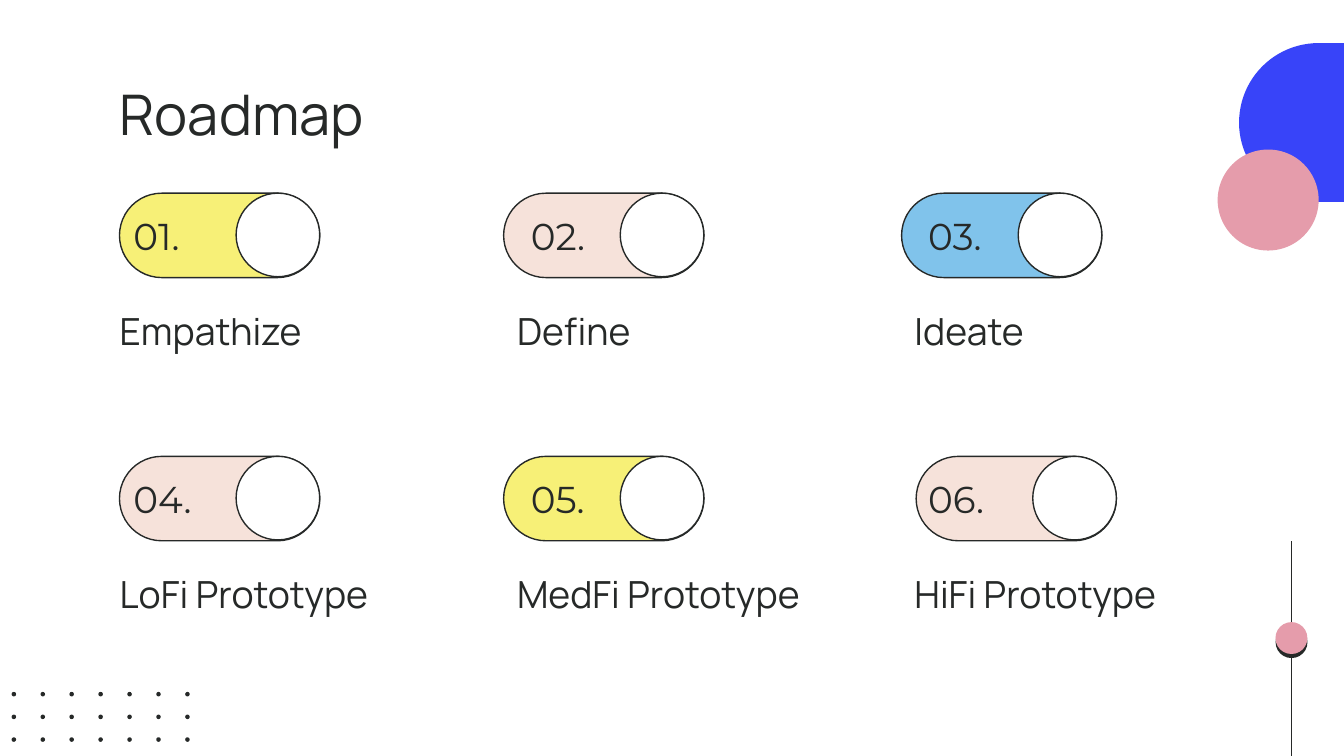
"""Build the roadmap slide with six numbered toggles."""
from lxml import etree
from pptx import Presentation
from pptx.dml.color import RGBColor
from pptx.enum import shapes, text
from pptx.oxml import ns
from pptx.util import Pt

TITLE = "Roadmap"
INK, WHITE, PINK, BLUE = "262928", "FFFFFF", "E59CAB", "3844F9"
YELLOW, BLUSH, SKY = "F7F077", "F6E2DA", "80C3EB"
STEPS = [
    ("01.", "Empathize", YELLOW, 64),
    ("02.", "Define", BLUSH, 269.8),
    ("03.", "Ideate", SKY, 483),
    ("04.", "LoFi Prototype", BLUSH, 64),
    ("05.", "MedFi Prototype", YELLOW, 269.8),
    ("06.", "HiFi Prototype", BLUSH, 490.8),
]
COLS, LEFT, TOP = 3, 57, 103.5
STEP_X, STEP_Y = 212.9, 141
PILL_W, PILL_H, KNOB = 107.3, 45.2, 44.8
DOT, DOT_X, DOT_Y, GAP_X, GAP_Y = 2.4, 6.2, 370.7, 15.5, 12.15
ROUND, OVAL = shapes.MSO_SHAPE.ROUNDED_RECTANGLE, shapes.MSO_SHAPE.OVAL


def rgb(code):
    """Turn a hex string into a colour."""
    return RGBColor.from_string(code)


def add_form(kind, x, y, w, h, fill, line=None):
    """Add a filled shape, outlined when a line colour is given."""
    form = slide.shapes.add_shape(kind, Pt(x), Pt(y), Pt(w), Pt(h))
    form.shadow.inherit = False
    form.fill.solid()
    form.fill.fore_color.rgb = rgb(fill)
    if kind == ROUND:
        form.adjustments[0] = 0.5
    if line:
        form.line.color.rgb = rgb(line)
        form.line.width = Pt(0.75)
    else:
        form.line.fill.background()
    return form


def add_text(words, x, y, w, h, size, font="Manrope", anchor=text.MSO_ANCHOR.TOP):
    """Add one line of text in a box with even insets."""
    frame = slide.shapes.add_textbox(Pt(x), Pt(y), Pt(w), Pt(h)).text_frame
    frame.word_wrap = True
    frame.vertical_anchor = anchor
    frame.margin_left = frame.margin_right = Pt(7.2)
    frame.margin_top = frame.margin_bottom = Pt(7.2)
    para = frame.paragraphs[0]
    para.text = words
    para.font.size, para.font.name = Pt(size), font
    para.font.color.rgb = rgb(INK)


def add_stem(x, start, end):
    """Add a thin vertical line."""
    stem = slide.shapes.add_connector(
        shapes.MSO_CONNECTOR.STRAIGHT, Pt(x), Pt(start), Pt(x), Pt(end))
    stem.line.color.rgb = rgb(INK)
    stem.line.width = Pt(0.75)
    etree.SubElement(stem._element.spPr, ns.qn("a:effectLst"))


def add_shade(form, drop, angle):
    """Give a shape a hard dark shadow."""
    effects = form._element.spPr.find(ns.qn("a:effectLst"))
    shade = etree.SubElement(
        effects, ns.qn("a:outerShdw"), dist=str(Pt(drop)),
        dir=str(angle * 60000), algn="bl", rotWithShape="0")
    etree.SubElement(shade, ns.qn("a:srgbClr"), val=INK)


def add_decor():
    """Draw the corner discs, the slider and the grid of dots."""
    add_form(ROUND, 663.8, 23.1, 185.8, 85, BLUE)
    bead = add_form(OVAL, 683.3, 333.3, 17.1, 17.1, PINK)
    add_shade(bead, 2.2, 88)
    add_stem(691.9, 333.3, 289.8)
    add_stem(691.9, 350.4, 405)
    for row in range(3):
        for col in range(7):
            add_form(OVAL, DOT_X + col * GAP_X, DOT_Y + row * GAP_Y, DOT, DOT, INK)
    add_form(OVAL, 652.3, 80.1, 54.1, 54.1, PINK)


def add_steps():
    """Draw each toggle with its number and label."""
    for i, (num, label, fill, x) in enumerate(STEPS):
        row, col = divmod(i, COLS)
        left, top = LEFT + col * STEP_X, TOP + row * STEP_Y
        add_form(ROUND, x, top, PILL_W, PILL_H, fill, INK)
        add_form(OVAL, x + PILL_W - KNOB, top, KNOB, KNOB, WHITE, INK)
        add_text(num, left + 7.4, top + 5, 57.6, 35.3, 20, "Montserrat",
                 text.MSO_ANCHOR.MIDDLE)
        add_text(label, left, top + 54.2, 181.4, 54.7, 20)


deck = Presentation()
deck.slide_width, deck.slide_height = Pt(720), Pt(405)
slide = deck.slides.add_slide(deck.slide_layouts[6])
add_decor()
add_text(TITLE, LEFT, 35.2, 607, 45.4, 30)
add_steps()
deck.save("out.pptx")
